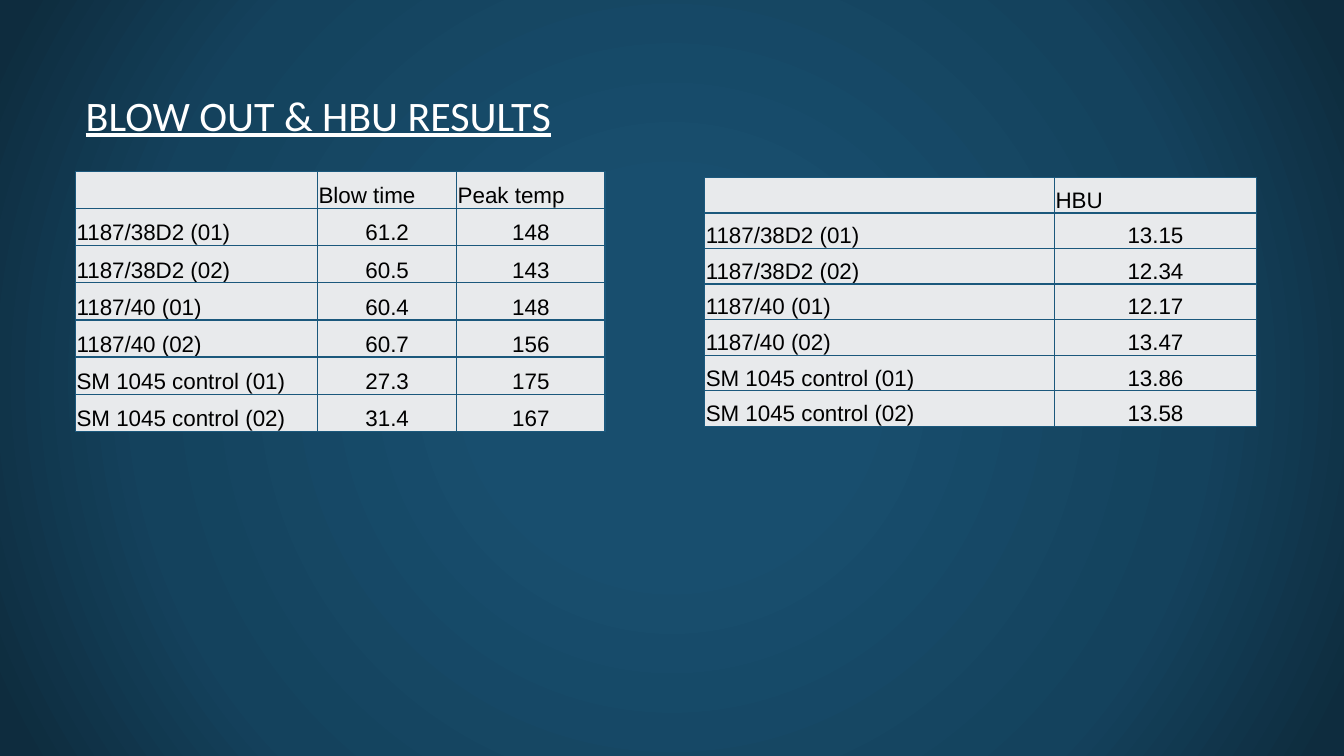
from lxml import etree
from pptx import Presentation
from pptx.dml.color import RGBColor
from pptx.enum.text import MSO_ANCHOR, PP_ALIGN
from pptx.oxml.ns import qn
from pptx.util import Inches, Pt

LEFT, CENTER = PP_ALIGN.LEFT, PP_ALIGN.CENTER
MIDDLE, BOTTOM = MSO_ANCHOR.MIDDLE, MSO_ANCHOR.BOTTOM
TITLE_ONLY = 5

COLORS = {
    "title": "FFFFFF",
    "text": "000000",
    "cell": "E8EAEC",
    "border": "1B587C",
    "glow": "184E6E",
    "mid": "14425D",
    "edge": "0E2C3E",
}
BACKGROUND_STOPS = [(0, "glow"), (23, "glow"), (69, "mid"), (97, "edge")]

SAMPLES = [
    "1187/38D2 (01)", "1187/38D2 (02)",
    "1187/40 (01)", "1187/40 (02)",
    "SM 1045 control (01)", "SM 1045 control (02)",
]
BLOW_TIMES = ["61.2", "60.5", "60.4", "60.7", "27.3", "31.4"]
PEAK_TEMPS = ["148", "143", "148", "156", "175", "167"]
HBU_VALUES = ["13.15", "12.34", "12.17", "13.47", "13.86", "13.58"]


def color(name):
    return RGBColor.from_string(COLORS[name])


def add_color(parent, name):
    etree.SubElement(parent, qn("a:srgbClr"), val=COLORS[name])


def set_background(slide):
    """Fill the slide with a gradient that darkens from its centre."""
    slide.background.fill.solid()
    properties = slide.element.find(".//" + qn("p:bgPr"))
    gradient = etree.Element(qn("a:gradFill"), rotWithShape="1")
    stops = etree.SubElement(gradient, qn("a:gsLst"))
    for percent, name in BACKGROUND_STOPS:
        stop = etree.SubElement(stops, qn("a:gs"), pos=str(percent * 1000))
        add_color(stop, name)
    circle = etree.SubElement(gradient, qn("a:path"), path="circle")
    etree.SubElement(circle, qn("a:fillToRect"),
                     {side: "50000" for side in "ltrb"})
    properties.replace(properties[0], gradient)


def format_run(run, font_name, size, color_name):
    run.font.name = font_name
    run.font.size = Pt(size)
    run.font.color.rgb = color(color_name)


def set_title(slide, text):
    title = slide.shapes.title
    title.left, title.top = Inches(0.75), Inches(0.67)
    title.width, title.height = Inches(11.86), Inches(0.93)
    title.text_frame.text = text
    title.text_frame.vertical_anchor = MIDDLE
    paragraph = title.text_frame.paragraphs[0]
    paragraph.alignment = LEFT
    run = paragraph.runs[0]
    format_run(run, "Calibri", 30, "title")
    run.font.underline = True


def add_borders(cell):
    properties = cell._tc.get_or_add_tcPr()
    for index, side in enumerate(("lnL", "lnR", "lnT", "lnB")):
        line = etree.Element(qn("a:" + side), w=str(Pt(1)))
        add_color(etree.SubElement(line, qn("a:solidFill")), "border")
        properties.insert(index, line)


def format_cell(cell, text, alignment):
    cell.fill.solid()
    cell.fill.fore_color.rgb = color("cell")
    cell.margin_left = cell.margin_right = cell.margin_top = Inches(0.01)
    cell.margin_bottom = 0
    cell.vertical_anchor = BOTTOM
    add_borders(cell)
    cell.text_frame.text = text
    paragraph = cell.text_frame.paragraphs[0]
    paragraph.alignment = alignment
    for run in paragraph.runs:
        format_run(run, "Arial", 16, "text")


def add_results_table(slide, left, top, height, widths, rows):
    """Add a table whose values are centred below left-aligned headings."""
    frame = slide.shapes.add_table(
        len(rows), len(widths), Inches(left), Inches(top),
        Inches(sum(widths)), Inches(height))
    table = frame.table
    for column, width in zip(table.columns, widths):
        column.width = Inches(width)
    for row_index, row in enumerate(rows):
        for column_index, text in enumerate(row):
            is_value = row_index > 0 and column_index > 0
            format_cell(table.cell(row_index, column_index), text,
                        CENTER if is_value else LEFT)


def main():
    presentation = Presentation()
    presentation.slide_width = Inches(13.33)
    presentation.slide_height = Inches(7.5)
    slide = presentation.slides.add_slide(
        presentation.slide_layouts[TITLE_ONLY])
    set_background(slide)
    set_title(slide, "BLOW OUT & HBU RESULTS")
    add_results_table(
        slide, 0.75, 1.7, 2.58, [2.4, 1.38, 1.47],
        [("", "Blow time", "Peak temp"),
         *zip(SAMPLES, BLOW_TIMES, PEAK_TEMPS)])
    add_results_table(
        slide, 6.99, 1.76, 2.47, [3.47, 2],
        [("", "HBU"), *zip(SAMPLES, HBU_VALUES)])
    presentation.save("out.pptx")


if __name__ == "__main__":
    main()
